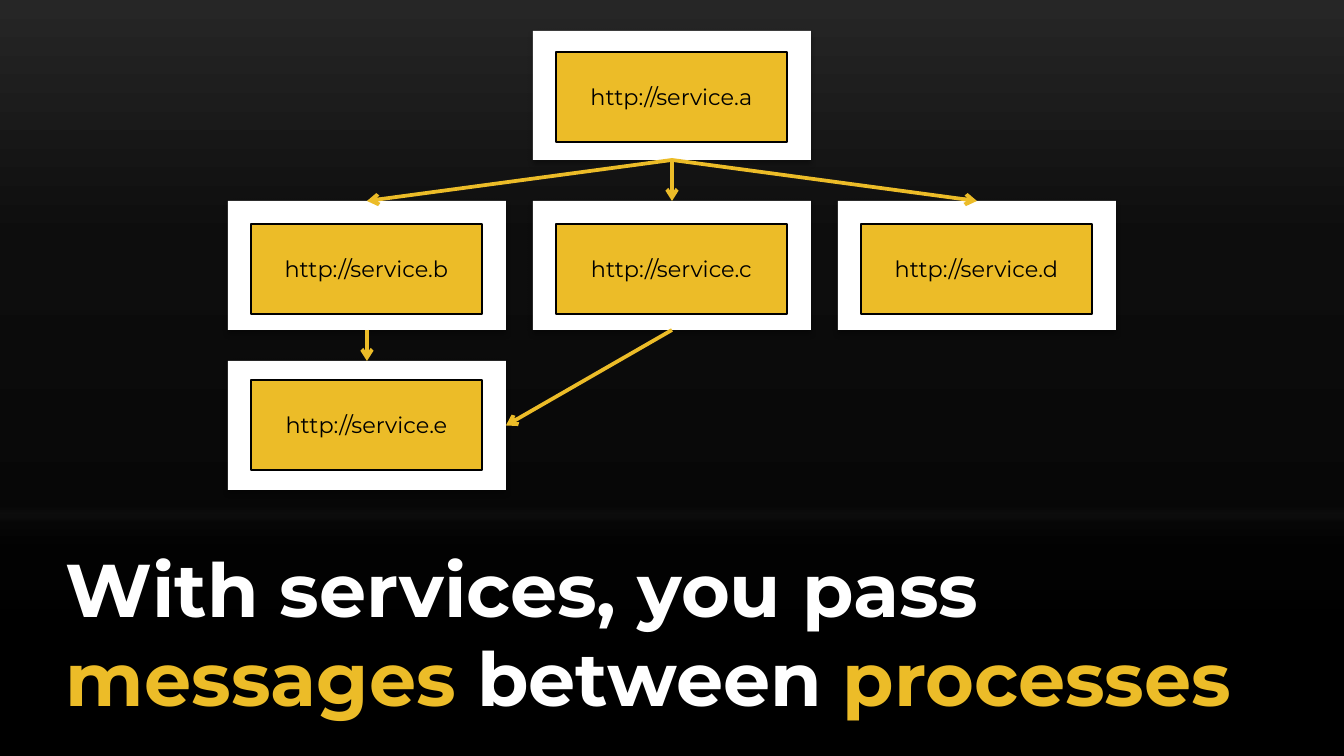
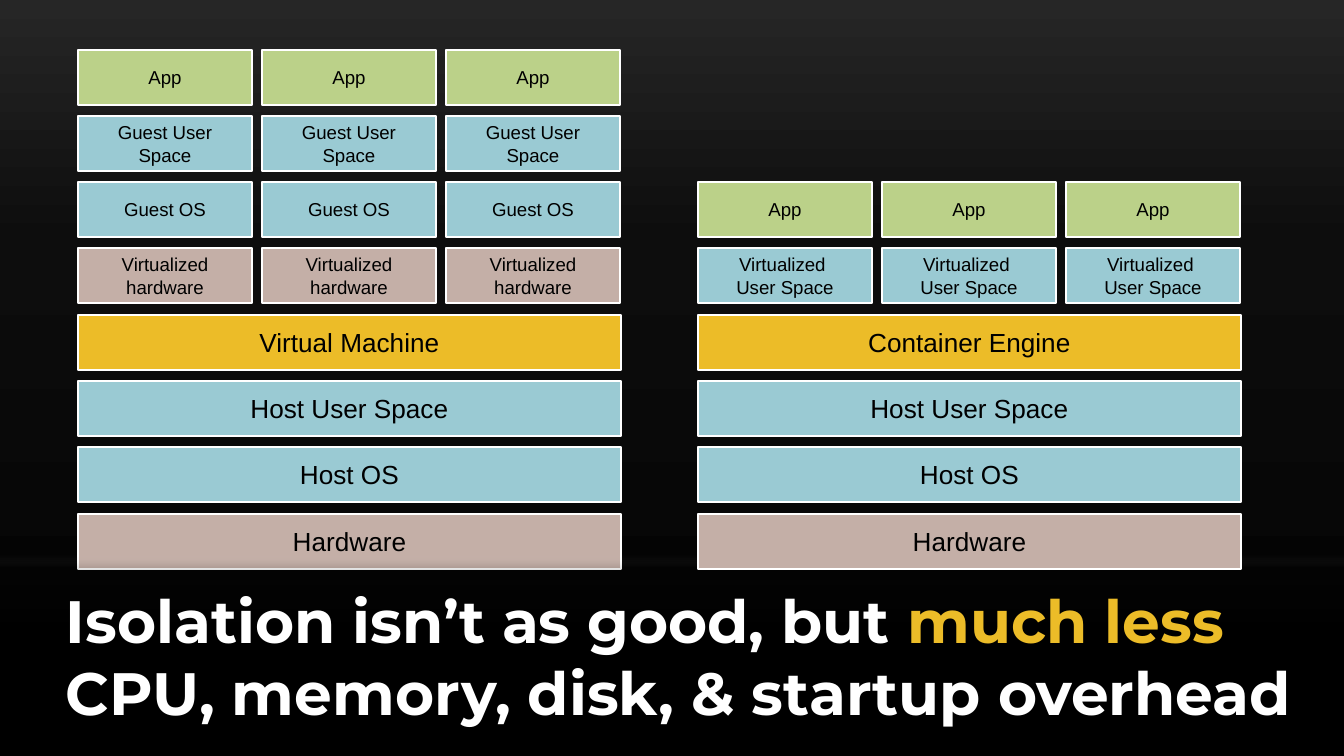
from dataclasses import dataclass

import lxml.etree
import pptx
import pptx.dml.color
import pptx.enum.shapes
import pptx.enum.text
import pptx.oxml.ns
import pptx.util

RGB = pptx.dml.color.RGBColor
BLACK = RGB(0x00, 0x00, 0x00)
WHITE = RGB(0xFF, 0xFF, 0xFF)
GOLD = RGB(0xEC, 0xBC, 0x28)
BLUE = RGB(0x9A, 0xCA, 0xD3)
GREEN = RGB(0xBB, 0xD1, 0x89)
BROWN = RGB(0xC4, 0xAF, 0xA7)
COAL = RGB(0x0D, 0x0D, 0x0D)
GREY = RGB(0x26, 0x26, 0x26)

HEAD = "Montserrat"
BODY = "Arial"
WIDE, HIGH = 1344, 756
SCALE = 914400 / 134.4

# Gradient stops run from bottom to top: position, colour, opacity
BACK = [(0, BLACK, 100), (68, COAL, 100), (100, GREY, 100)]
FADE = [(0, BLACK, 80), (20, BLACK, 75), (38, BLACK, 70), (59, BLACK, 60),
        (82, BLACK, 30), (88, BLACK, 20), (94, BLACK, 10), (100, WHITE, 0)]


@dataclass
class Node:
    name: str
    col: int
    top: int
    inset: int


@dataclass
class Row:
    text: str
    fill: RGB
    split: bool = False


@dataclass
class Stack:
    left: int
    rows: list[Row]


# Service map
CARD_W, CARD_H = 278, 129
TAG_W, TAG_H = 231, 90
MAP_X, MAP_STEP = 228, 305
NODES = [Node("a", 1, 31, 21), Node("b", 0, 201, 23), Node("c", 1, 201, 23),
         Node("d", 2, 201, 23), Node("e", 0, 361, 19)]
# Source, target and the target's side
LINKS = [("a", "b", 0), ("a", "c", 0), ("a", "d", 0), ("b", "e", 0), ("c", "e", 3)]

# Layer stacks, listed from top to bottom and standing on one floor
ROW_W, ROW_H = 543, 55
CELL_W, CELL_STEP, CELLS = 174, 184, 3
TOP, SPAN, LAST = 50, 464, 7
HOST = [Row("Host User Space", BLUE), Row("Host OS", BLUE), Row("Hardware", BROWN)]
VIRTUAL = Stack(78, [Row("App", GREEN, True), Row("Guest User Space", BLUE, True),
                     Row("Guest OS", BLUE, True),
                     Row("Virtualized hardware", BROWN, True),
                     Row("Virtual Machine", GOLD), *HOST])
ENGINE = Stack(698, [Row("App", GREEN, True),
                     Row("Virtualized \nUser Space", BLUE, True),
                     Row("Container Engine", GOLD), *HOST])


def px(num: int) -> pptx.util.Emu:
    return pptx.util.Emu(round(num * SCALE))


def add_xml(parent, tag: str, **attrs):
    return lxml.etree.SubElement(parent, pptx.oxml.ns.qn(tag), attrs)


def shade(owner, fill, stops) -> None:
    """Fill with an upward gradient that may be partly clear."""
    fill.gradient()
    grad = owner.find(".//" + pptx.oxml.ns.qn("a:gradFill"))
    for child in list(grad):
        grad.remove(child)
    group = add_xml(grad, "a:gsLst")
    for pos, tint, alpha in stops:
        stop = add_xml(group, "a:gs", pos=str(pos * 1000))
        color = add_xml(stop, "a:srgbClr", val=str(tint))
        if alpha < 100:
            add_xml(color, "a:alpha", val=str(alpha * 1000))
    add_xml(grad, "a:lin", ang="16200000", scaled="0")


def add_box(slide, left: int, top: int, width: int, height: int,
            fill: RGB | None = None, line: RGB | None = None):
    box = slide.shapes.add_shape(pptx.enum.shapes.MSO_SHAPE.RECTANGLE,
                                 px(left), px(top), px(width), px(height))
    box.shadow.inherit = False
    if fill is not None:
        box.fill.solid()
        box.fill.fore_color.rgb = fill
    if line is None:
        box.line.fill.background()
    else:
        box.line.color.rgb = line
        box.line.width = pptx.util.Pt(0.75)
    return box


def style(font, face: str, size: int, tint: RGB, bold: bool = False) -> None:
    font.name = face
    font.size = pptx.util.Pt(size)
    font.color.rgb = tint
    font.bold = bold


def label(box, text: str, face: str, size: int) -> None:
    frame = box.text_frame
    frame.word_wrap = True
    frame.vertical_anchor = pptx.enum.text.MSO_ANCHOR.MIDDLE
    frame.text = text
    for para in frame.paragraphs:
        para.alignment = pptx.enum.text.PP_ALIGN.CENTER
        for run in para.runs:
            style(run.font, face, size, BLACK)


def drop(box) -> None:
    """Give a card its soft shadow."""
    effects = box.element.spPr.find(pptx.oxml.ns.qn("a:effectLst"))
    cast = add_xml(effects, "a:outerShdw", blurRad=str(pptx.util.Pt(3.1)),
                   dist=str(pptx.util.Pt(1.8)), dir="5400000", rotWithShape="0")
    color = add_xml(cast, "a:srgbClr", val=str(BLACK))
    add_xml(color, "a:alpha", val="35000")


def arrow(slide, start, end, side: int) -> None:
    line = slide.shapes.add_connector(pptx.enum.shapes.MSO_CONNECTOR.STRAIGHT,
                                      0, 0, 0, 0)
    line.begin_connect(start, 2)
    line.end_connect(end, side)
    line.line.color.rgb = GOLD
    line.line.width = pptx.util.Pt(2)
    add_xml(line.line._get_or_add_ln(), "a:tailEnd", type="arrow")
    add_xml(line.element.spPr, "a:effectLst")


def band(slide, top: int, size: int, parts: list[tuple[str, RGB]]) -> None:
    """Draw the faded caption from the given top to the slide's foot."""
    box = add_box(slide, -1, top, WIDE + 1, HIGH - top)
    shade(box.element, box.fill, FADE)
    frame = box.text_frame
    frame.word_wrap = True
    frame.vertical_anchor = pptx.enum.text.MSO_ANCHOR.MIDDLE
    frame.margin_left = frame.margin_top = frame.margin_bottom = pptx.util.Inches(0.1)
    frame.margin_right = pptx.util.Inches(0.3)
    para = frame.paragraphs[0]
    para.alignment = pptx.enum.text.PP_ALIGN.LEFT
    props = para._p.get_or_add_pPr()
    props.set("marL", str(pptx.util.Inches(0.4)))
    props.set("indent", "0")
    for text, tint in parts:
        run = para.add_run()
        run.text = text
        style(run.font, HEAD, size, tint, True)


def pile(slide, stack: Stack) -> None:
    first = LAST + 1 - len(stack.rows)
    for level, row in enumerate(stack.rows, first):
        top = TOP + level * SPAN // LAST
        count, width, size = (CELLS, CELL_W, 10) if row.split else (1, ROW_W, 14)
        for col in range(count):
            box = add_box(slide, stack.left + col * CELL_STEP, top,
                          width, ROW_H, row.fill, WHITE)
            label(box, row.text, BODY, size)


def services(slide) -> None:
    cards = {}
    for node in NODES:
        left = MAP_X + node.col * MAP_STEP
        card = add_box(slide, left, node.top, CARD_W, CARD_H, WHITE)
        drop(card)
        cards[node.name] = card
        tag = add_box(slide, left + (CARD_W - TAG_W) // 2, node.top + node.inset,
                      TAG_W, TAG_H, GOLD, BLACK)
        label(tag, f"http://service.{node.name}", HEAD, 12)
    for start, end, side in LINKS:
        arrow(slide, cards[start], cards[end], side)
    band(slide, 508, 40, [("With services, you pass ", WHITE), ("messages ", GOLD),
                          ("between ", WHITE), ("processes", GOLD)])


def layers(slide) -> None:
    pile(slide, VIRTUAL)
    band(slide, 556, 32, [("Isolation isn’t as good, but ", WHITE),
                          ("much less", GOLD),
                          (" CPU, memory, disk, & startup overhead", WHITE)])
    pile(slide, ENGINE)


def main() -> None:
    deck = pptx.Presentation()
    deck.slide_width, deck.slide_height = px(WIDE), px(HIGH)
    master = deck.slide_master
    shade(master.element, master.background.fill, BACK)
    for draw in (services, layers):
        draw(deck.slides.add_slide(deck.slide_layouts[6]))
    deck.save("out.pptx")


if __name__ == "__main__":
    main()
